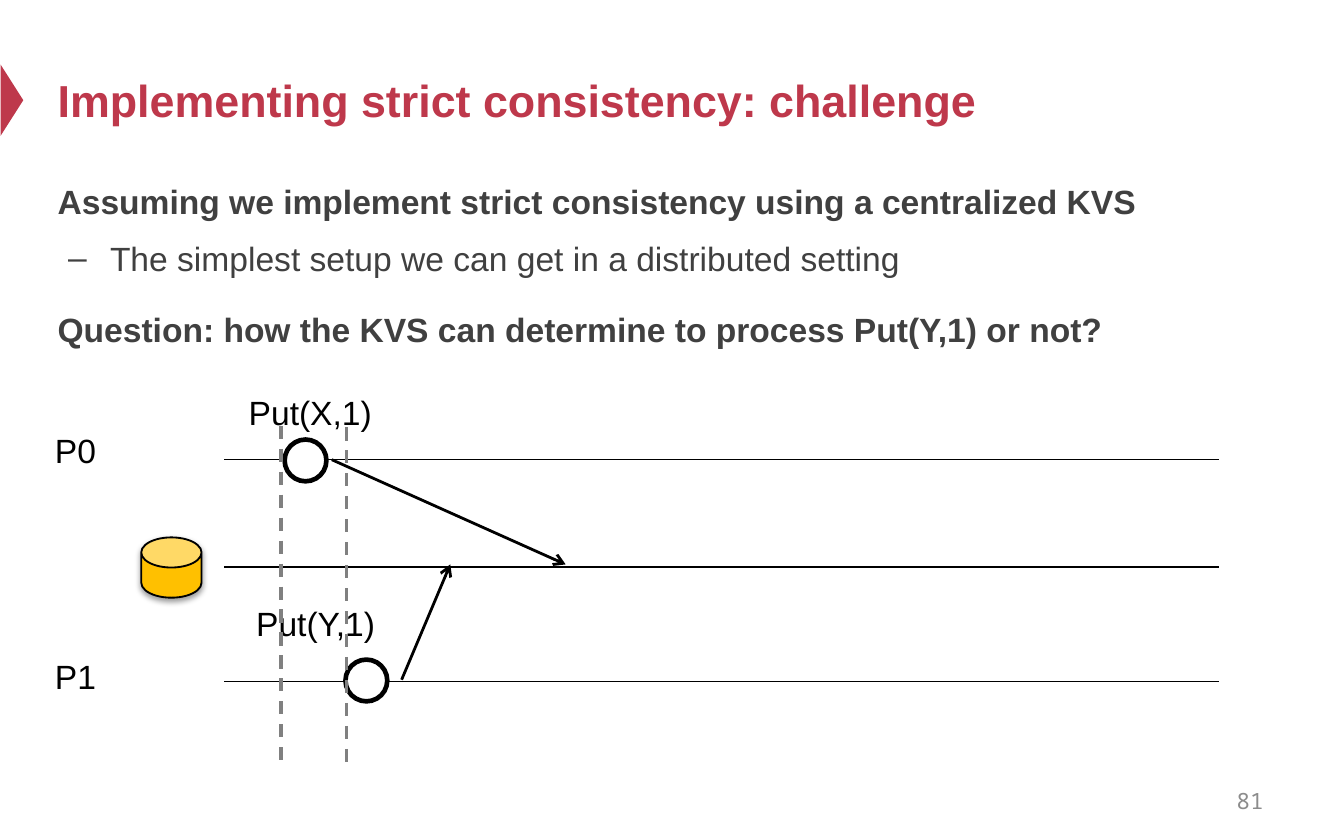
from lxml import etree
from pptx import Presentation
from pptx.dml.color import RGBColor
from pptx.enum.dml import MSO_LINE
from pptx.enum.shapes import MSO_CONNECTOR, MSO_SHAPE
from pptx.enum.text import MSO_ANCHOR, MSO_AUTO_SIZE, PP_ALIGN
from pptx.oxml.ns import qn
from pptx.util import Cm, Pt

STRAIGHT = MSO_CONNECTOR.STRAIGHT
CAN, OVAL, WEDGE = MSO_SHAPE.CAN, MSO_SHAPE.OVAL, MSO_SHAPE.ISOSCELES_TRIANGLE
DASH = MSO_LINE.DASH
LEFT, MID, RIGHT = PP_ALIGN.LEFT, PP_ALIGN.CENTER, PP_ALIGN.RIGHT
TOP, CENTER = MSO_ANCHOR.TOP, MSO_ANCHOR.MIDDLE
GROW, FIXED = MSO_AUTO_SIZE.SHAPE_TO_FIT_TEXT, MSO_AUTO_SIZE.NONE

HUES = {"red": "BE384B", "text": "404040", "black": "000000", "white": "FFFFFF",
        "gold": "FFC000", "gray": "808080", "page": "8C8C8C"}

FONTS = {
    "title": {"name": "Arial", "size": Pt(24), "bold": True},
    "head": {"name": "Arial", "size": Pt(18), "bold": True},
    "plain": {"name": "Arial", "size": Pt(18), "bold": False},
    "page": {"name": "Noto Sans Mono", "size": Pt(12)},
}

# All lengths below are centimetres.
TITLE = "Implementing strict consistency: challenge"
BODY = [  # text, level, space before in points
    ("Assuming we implement strict consistency using a centralized KVS", 0, 0),
    ("The simplest setup we can get in a distributed setting", 1, 4.5),
    ("Question: how the KVS can determine to process Put(Y,1) or not?", 0, 12),
]
PAGE = "81"
ROWS = {"P0": 8.69, "KVS": 10.72, "P1": 12.88}
START, END = 4.24, 23.04
NAMES = [("P0", 8.0), ("P1", 12.27)]  # text, top
PUTS = [  # text, label left, top, width, circle left, top
    ("Put(X,1)", 4.24, 7.29, 3.25, 5.38, 8.31),
    ("Put(Y,1)", 3.91, 11.28, 4.11, 6.53, 12.47),
]
DOT = 0.79
SENDS = [(6.27, 8.69, 10.69, 10.67), (7.59, 12.85, 8.51, 10.67)]
TIMES = [(5.31, 8.05), (6.55, 8.08)]  # x, top
FLOOR = 14.53


def hue(name):
    return RGBColor.from_string(HUES[name])


def write(para, text, font, color):
    run = para.add_run()
    run.text = text
    for key, value in FONTS[font].items():
        setattr(run.font, key, value)
    run.font.color.rgb = hue(color)


def box(slide, at, anchor=TOP, fit=FIXED):
    """Add an empty wrapping text box and return its frame."""
    frame = slide.shapes.add_textbox(*map(Cm, at)).text_frame
    form = {"word_wrap": True, "auto_size": fit, "vertical_anchor": anchor}
    for key, value in form.items():
        setattr(frame, key, value)
    return frame


def label(slide, at, text, font, color, align=LEFT, **form):
    para = box(slide, at, **form).paragraphs[0]
    para.alignment = align
    write(para, text, font, color)


def dash(para):
    """Give a paragraph a hanging dash bullet."""
    props = para._p.get_or_add_pPr()
    for key, size in {"marL": 0.99, "indent": -0.79}.items():
        props.set(key, str(Cm(size)))
    etree.SubElement(props, qn("a:buFont"), typeface="Arial")
    etree.SubElement(props, qn("a:buChar"), char="–")


def shape(slide, kind, at, fill, width=0):
    item = slide.shapes.add_shape(kind, *map(Cm, at))
    item.shadow.inherit = False
    item.fill.solid()
    item.fill.fore_color.rgb = hue(fill)
    if width:
        item.line.color.rgb = hue("black")
        item.line.width = Pt(width)
    else:
        item.line.fill.background()
    return item


def shade(item):
    """Cast a soft shadow straight down."""
    effects = item._element.spPr.find(qn("a:effectLst"))
    drop = etree.SubElement(effects, qn("a:outerShdw"), blurRad=str(Pt(3.1)),
                            dist=str(Pt(1.6)), dir="5400000", rotWithShape="0")
    tint = etree.SubElement(drop, qn("a:srgbClr"), val=HUES["black"])
    etree.SubElement(tint, qn("a:alpha"), val="38000")


def line(slide, ends, width, color="black", style=None, arrow=False):
    item = slide.shapes.add_connector(STRAIGHT, *map(Cm, ends))
    item.line.color.rgb = hue(color)
    item.line.width = Pt(width)
    if style:
        item.line.dash_style = style
    if arrow:
        etree.SubElement(item.line._get_or_add_ln(), qn("a:tailEnd"), type="arrow")
    etree.SubElement(item._element.spPr, qn("a:effectLst"))


def main():
    deck = Presentation()
    deck.slide_width, deck.slide_height = Cm(25.4), Cm(15.88)
    slide = deck.slides.add_slide(deck.slide_layouts[6])

    wedge = shape(slide, WEDGE, (-0.45, 1.68, 1.35, 0.43), "red")
    wedge.rotation = 90
    label(slide, (0.84, 0.64, 22.86, 2.49), TITLE, "title", "red", anchor=CENTER)

    frame = box(slide, (0.84, 3.15, 22.86, 3.71))
    for i, (text, level, before) in enumerate(BODY):
        para = frame.add_paragraph() if i else frame.paragraphs[0]
        if level:
            dash(para)
        form = {"level": level, "line_spacing": 1.2, "space_before": Pt(before)}
        for key, value in form.items():
            setattr(para, key, value)
        write(para, text, "plain" if level else "head", "text")

    label(slide, (18.21, 14.71, 5.92, 0.84), PAGE, "page", "page", RIGHT, anchor=CENTER)

    store = shape(slide, CAN, (2.67, 10.16, 1.14, 1.14), "gold", 1)
    store.adjustments[0] = 0.5
    shade(store)

    for y in ROWS.values():
        line(slide, (START, y, END, y), 0.75)
    for text, top in NAMES:
        label(slide, (0.79, top, 1.8, 1.02), text, "plain", "black", fit=GROW)
    for text, left, top, width, x, y in PUTS:
        shape(slide, OVAL, (x, y, DOT, DOT), "white", 2.5)
        label(slide, (left, top, width, 1.02), text, "plain", "black", MID, fit=GROW)
    for ends in SENDS:
        line(slide, ends, 1.5, arrow=True)
    for x, top in TIMES:
        line(slide, (x, top, x, FLOOR), 1.75, "gray", DASH)

    deck.save("out.pptx")


if __name__ == "__main__":
    main()
